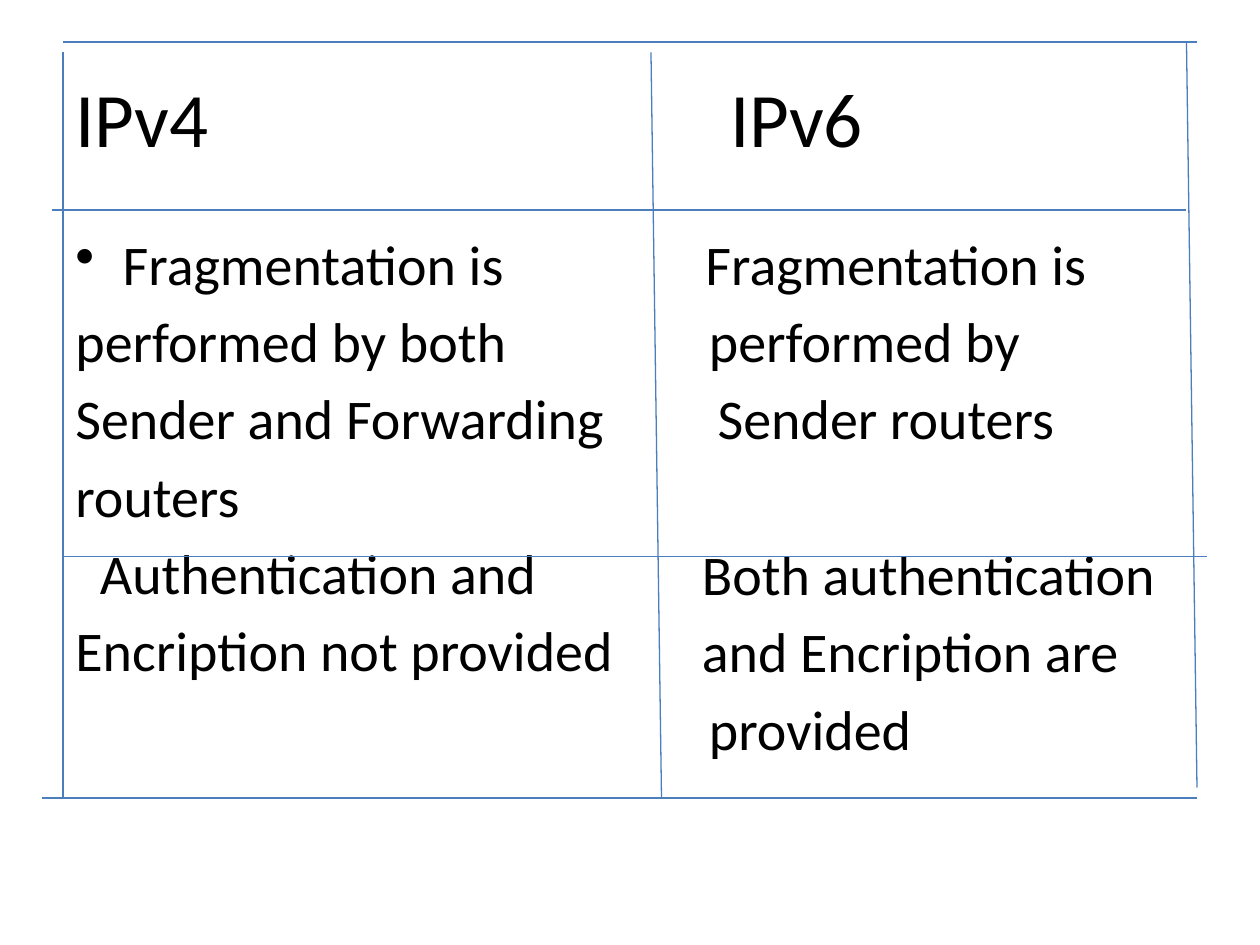
"""Build a ruled comparison slide of IPv4 and IPv6."""
from dataclasses import dataclass

from lxml import etree
from pptx import Presentation
from pptx.dml.color import RGBColor
from pptx.enum.shapes import MSO_CONNECTOR
from pptx.enum.text import MSO_ANCHOR, PP_ALIGN
from pptx.oxml.ns import qn
from pptx.util import Pt

STRAIGHT = MSO_CONNECTOR.STRAIGHT
MIDDLE, TOP, LEFT = MSO_ANCHOR.MIDDLE, MSO_ANCHOR.TOP, PP_ALIGN.LEFT
TITLE_ONLY = 5


@dataclass(frozen=True)
class Theme:
    """Colours, font and sizes of the slide."""
    font: str = "Calibri"
    text: RGBColor = RGBColor(0, 0, 0)
    rule: RGBColor = RGBColor(0x4B, 0x7E, 0xBC)
    title_size: float = 44
    body_size: float = 32
    rule_width: float = 0.75
    line_gap: float = 5.75
    line_pitch: float = 44.8
    bullet_indent: float = 27


@dataclass(frozen=True)
class Box:
    """A rectangle in points."""
    left: float
    top: float
    width: float
    height: float

    def lengths(self):
        """Return the four lengths as Pt values."""
        return [Pt(value) for value in (self.left, self.top, self.width, self.height)]


@dataclass(frozen=True)
class Line:
    """A line of body text and how it is set."""
    text: str
    indent: float = 0
    bullet: bool = False
    skipped: int = 0


THEME = Theme()
IPV4_LINES = [
    Line("Fragmentation is", bullet=True),
    Line("performed by both"),
    Line("Sender and Forwarding"),
    Line("routers"),
    Line("Authentication and", indent=14),
    Line("Encription not provided"),
]
IPV6_LINES = [
    Line("Fragmentation is", indent=2),
    Line("performed by", indent=4),
    Line("Sender routers", indent=9),
    Line("Both authentication", skipped=1),
    Line("and Encription are"),
    Line("provided", indent=4),
]
RULES = [
    ((336, 0), (342, 426)),
    ((0, 0), (0, 426)),
    ((642, -6), (648, 420)),
    ((0, -6), (648, -6)),
    ((-6, 90), (642, 90)),
    ((-12, 426), (648, 426)),
    ((0, 288), (654, 288)),
]


def style_text(paragraph, size):
    """Set the font and alignment of a paragraph."""
    paragraph.alignment = LEFT
    paragraph.font.name = THEME.font
    paragraph.font.size = Pt(size)
    paragraph.font.color.rgb = THEME.text


def add_heading(page, box, names, tab):
    """Place the title with its names on a tab stop."""
    title = page.shapes.title
    title.left, title.top, title.width, title.height = box.lengths()
    title.text_frame.vertical_anchor = MIDDLE
    paragraph = title.text_frame.paragraphs[0]
    paragraph.text = "\t".join(names)
    style_text(paragraph, THEME.title_size)
    properties = paragraph._p.get_or_add_pPr()
    stops = etree.Element(qn("a:tabLst"))
    etree.SubElement(stops, qn("a:tab"), pos=str(Pt(tab)), algn="l")
    properties.insert_element_before(stops, "a:defRPr", "a:extLst")


def set_indent(paragraph, line):
    """Indent a line, with a hanging bullet where it has one."""
    properties = paragraph._p.get_or_add_pPr()
    margin = THEME.bullet_indent if line.bullet else line.indent
    properties.set("marL", str(Pt(margin)))
    properties.set("indent", str(Pt(-margin if line.bullet else 0)))
    if line.bullet:
        bullet = etree.Element(qn("a:buChar"), char="\u2022")
        properties.insert_element_before(bullet, "a:tabLst", "a:defRPr", "a:extLst")


def add_column(page, box, lines):
    """Place one column of body lines."""
    frame = page.shapes.add_textbox(*box.lengths()).text_frame
    frame.word_wrap = True
    frame.vertical_anchor = TOP
    frame.margin_top = Pt(5)
    for index, line in enumerate(lines):
        paragraph = frame.add_paragraph() if index else frame.paragraphs[0]
        paragraph.text = line.text
        style_text(paragraph, THEME.body_size)
        gap = THEME.line_gap + line.skipped * THEME.line_pitch
        paragraph.space_before = Pt(gap if index else 0)
        set_indent(paragraph, line)


def add_rules(page, box, rules):
    """Draw the rules relative to the corner of the box."""
    for start, end in rules:
        points = [Pt(value) for x, y in (start, end)
                  for value in (box.left + x, box.top + y)]
        rule = page.shapes.add_connector(STRAIGHT, *points)
        rule.line.color.rgb = THEME.rule
        rule.line.width = Pt(THEME.rule_width)
        etree.SubElement(rule._element.spPr, qn("a:effectLst"))


def add_comparison(deck, box):
    """Build the comparison slide inside the box."""
    page = deck.slides.add_slide(deck.slide_layouts[TITLE_ONLY])
    add_heading(page, Box(box.left, box.top - 8.4, box.width, 90), ("IPv4", "IPv6"), 374)
    body_top, body_height, split = box.top + 96, 356, 358
    add_column(page, Box(box.left, body_top, split, body_height), IPV4_LINES)
    add_column(page, Box(box.left + split, body_top, box.width - split, body_height),
               IPV6_LINES)
    add_rules(page, box, RULES)


def main():
    """Save the deck."""
    deck = Presentation()
    deck.slide_width, deck.slide_height = Pt(720), Pt(540)
    add_comparison(deck, Box(36, 30, 648, 426))
    deck.save("out.pptx")


main()
